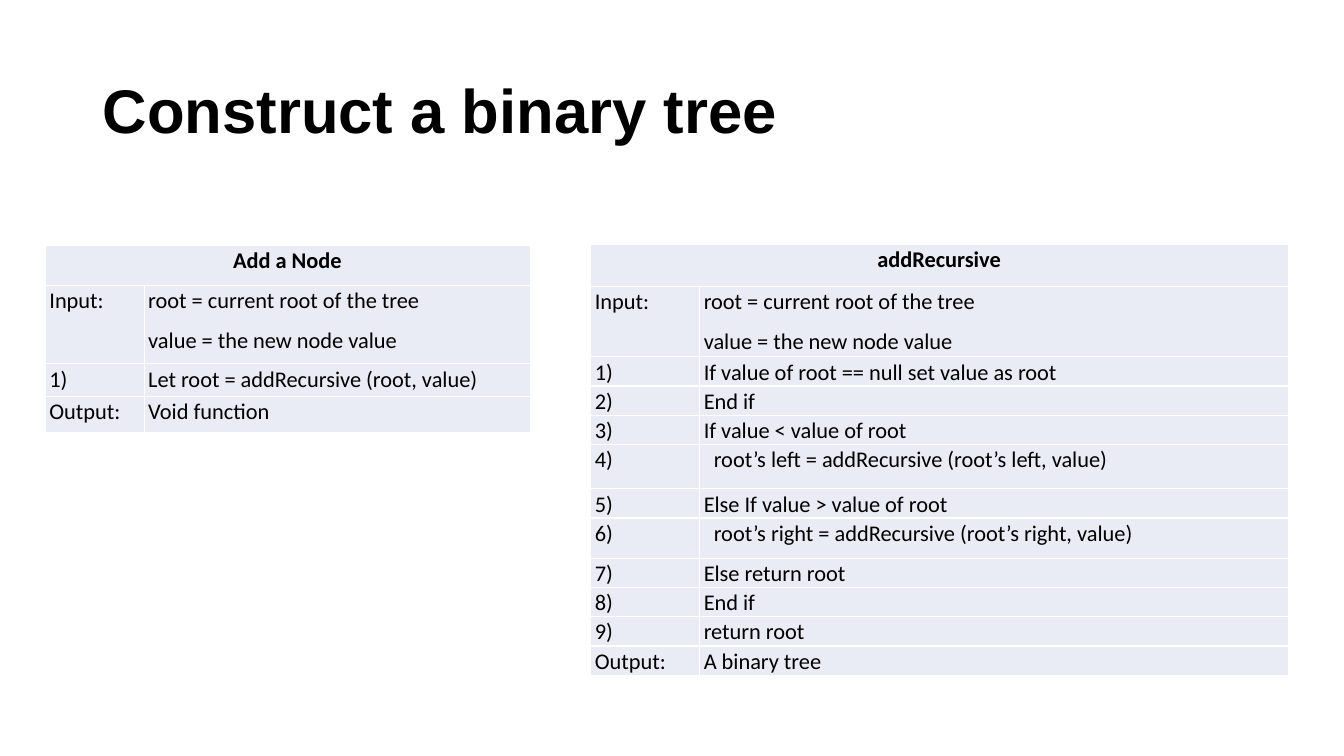
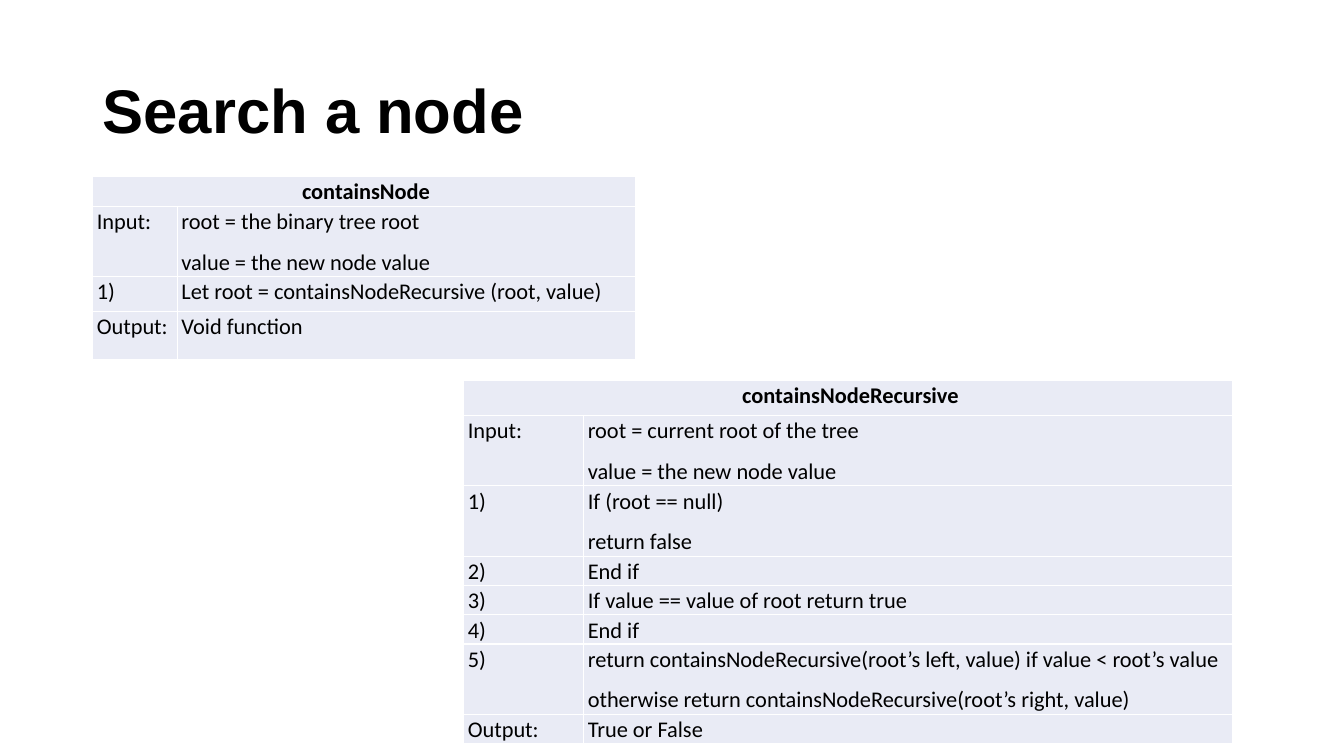
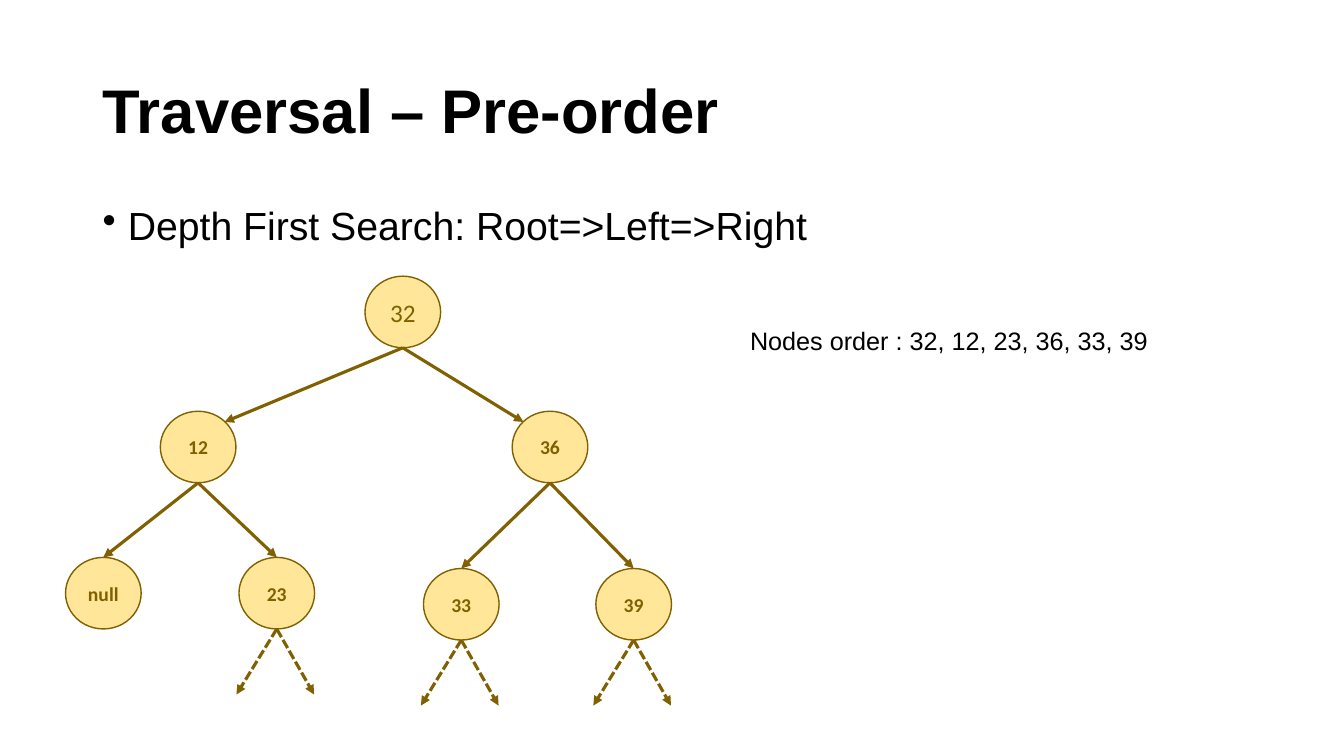
import pptx
import pptx.dml.color
import pptx.enum.dml
import pptx.enum.shapes
import pptx.enum.text
import pptx.oxml
import pptx.oxml.ns
import pptx.util
from pptx.util import Inches

BLACK = pptx.dml.color.RGBColor(0x00, 0x00, 0x00)
CELL_FILL = pptx.dml.color.RGBColor(0xE9, 0xEB, 0xF5)
NODE_FILL = pptx.dml.color.RGBColor(0xFF, 0xE6, 0x99)
NODE_LINE = pptx.dml.color.RGBColor(0x80, 0x60, 0x00)
BORDER_COLOR = "FFFFFF"
ALIGN = pptx.enum.text.PP_ALIGN
ANCHOR = pptx.enum.text.MSO_ANCHOR

TITLE_BOX = (0.92, 0.4, 11.5, 1.45)
NODE_WIDTH, NODE_HEIGHT = 0.75, 0.71
NESTED_INDENT = 0.14
INPUTS = ["root = current root of the tree", "value = the new node value"]

ADD_NODE_ROWS = [
    ("Input:", INPUTS, 0.78),
    ("1)", ["Let root = addRecursive (root, value)"], 0.32),
    ("Output:", ["Void function"], 0.36),
]
ADD_RECURSIVE_ROWS = [
    ("Input:", INPUTS, 0.7),
    ("1)", ["If value of root == null set value as root"], 0.29),
    ("2)", ["End if"], 0.29),
    ("3)", ["If value < value of root"], 0.29),
    ("4)", ["root’s left = addRecursive (root’s left, value)"], 0.44),
    ("5)", ["Else If value > value of root"], 0.29),
    ("6)", ["root’s right = addRecursive (root’s right, value)"], 0.4),
    ("7)", ["Else return root"], 0.29),
    ("8)", ["End if"], 0.29),
    ("9)", ["return root"], 0.29),
    ("Output:", ["A binary tree"], 0.29),
]
CONTAINS_NODE_ROWS = [
    ("Input:", ["root = the binary tree root", "value = the new node value"], 0.69),
    ("1)", ["Let root = containsNodeRecursive (root, value)"], 0.35),
    ("Output:", ["Void function"], 0.48),
]
CONTAINS_RECURSIVE_ROWS = [
    ("Input:", INPUTS, 0.7),
    ("1)", ["If (root == null)", "return false"], 0.7),
    ("2)", ["End if"], 0.29),
    ("3)", ["If value == value of root return true"], 0.29),
    ("4)", ["End if"], 0.29),
    ("5)", ["return containsNodeRecursive(root’s left, value) if value < root’s value",
            "otherwise return containsNodeRecursive(root’s right, value)"], 0.7),
    ("Output:", ["True or False"], 0.29),
]
NODES = {
    "32": (3.62, 2.74),
    "12": (1.59, 4.08),
    "36": (5.08, 4.08),
    "null": (0.65, 5.53),
    "23": (2.37, 5.53),
    "33": (4.2, 5.64),
    "39": (5.91, 5.64),
}
CHILDREN = {"12": ("null", "23"), "36": ("33", "39")}


def write_text(frame, lines, size=18, font="Arial", color=BLACK, bold=False, align=ALIGN.LEFT,
               spacing=None, before=None, after=None, indent=0, hanging=0, bullet=None):
    """Fill a text frame with one formatted paragraph for each line."""
    for index, line in enumerate(lines):
        paragraph = frame.add_paragraph() if index else frame.paragraphs[0]
        paragraph.alignment = align
        if spacing:
            paragraph.line_spacing = spacing
        if before is not None:
            paragraph.space_before = pptx.util.Pt(before)
        if after is not None:
            paragraph.space_after = pptx.util.Pt(after)
        properties = paragraph._p.get_or_add_pPr()
        properties.set("marL", str(Inches(indent)))
        properties.set("indent", str(Inches(-hanging)))
        if bullet:
            mark = pptx.oxml.parse_xml(
                f'<a:buChar {pptx.oxml.ns.nsdecls("a")} char="{bullet}"/>')
            properties.append(mark)
        run = paragraph.add_run()
        run.text = line
        run.font.size = pptx.util.Pt(size)
        run.font.name = font
        run.font.bold = bold
        run.font.color.rgb = color


def add_text(slide, box, text, wrap=True, anchor=ANCHOR.TOP, **style):
    """Add a text box with one line of formatted text."""
    shape = slide.shapes.add_textbox(*map(Inches, box))
    shape.text_frame.word_wrap = wrap
    shape.text_frame.vertical_anchor = anchor
    write_text(shape.text_frame, [text], **style)


def add_titled_slide(presentation, title):
    """Add a blank slide with the shared title style."""
    slide = presentation.slides.add_slide(presentation.slide_layouts[6])
    add_text(slide, TITLE_BOX, title, anchor=ANCHOR.MIDDLE, size=44, bold=True, spacing=0.9)
    return slide


def format_cell(cell, lines, indent=0.04, **style):
    """Fill a cell with text, a background and white borders."""
    cell.margin_left = cell.margin_right = cell.margin_top = cell.margin_bottom = 0
    cell.fill.solid()
    cell.fill.fore_color.rgb = CELL_FILL
    properties = cell._tc.get_or_add_tcPr()
    for index, side in enumerate(("lnL", "lnR", "lnT", "lnB")):
        properties.insert(index, pptx.oxml.parse_xml(
            f'<a:{side} {pptx.oxml.ns.nsdecls("a")} w="12700"><a:solidFill>'
            f'<a:srgbClr val="{BORDER_COLOR}"/></a:solidFill></a:{side}>'))
    write_text(cell.text_frame, lines, size=16, font="Calibri", spacing=1.07, after=8,
               indent=indent, **style)


def add_algorithm(slide, left, top, widths, heading, heading_height, rows):
    """Add a table of numbered steps under a merged heading."""
    heights = [heading_height] + [height for _, _, height in rows]
    frame = slide.shapes.add_table(len(heights), 2, Inches(left), Inches(top),
                                   Inches(sum(widths)), Inches(sum(heights)))
    table = frame.table
    table.first_row = table.horz_banding = False
    for column, width in zip(table.columns, widths):
        column.width = Inches(width)
    for row, height in zip(table.rows, heights):
        row.height = Inches(height)
    table.cell(0, 0).merge(table.cell(0, 1))
    format_cell(table.cell(0, 0), [heading], bold=True, align=ALIGN.CENTER)
    for index, (label, lines, _) in enumerate(rows, 1):
        nested = lines[0].startswith("root’s")
        format_cell(table.cell(index, 0), [label])
        format_cell(table.cell(index, 1), lines, indent=NESTED_INDENT if nested else 0.04)


def add_arrow(slide, start, end, dashed=False):
    """Add an arrow between two points."""
    connector = slide.shapes.add_connector(pptx.enum.shapes.MSO_CONNECTOR.STRAIGHT,
                                           *map(Inches, (*start, *end)))
    connector.line.color.rgb = NODE_LINE
    connector.line.width = pptx.util.Pt(2.25)
    if dashed:
        connector.line.dash_style = pptx.enum.dml.MSO_LINE.SQUARE_DOT
    namespace = pptx.oxml.ns.nsdecls("a")
    connector.line._get_or_add_ln().append(
        pptx.oxml.parse_xml(f'<a:tailEnd {namespace} type="triangle"/>'))
    connector._element.spPr.append(pptx.oxml.parse_xml(f"<a:effectLst {namespace}/>"))


def add_node(slide, label, left, top, **style):
    """Add one round tree node."""
    node = slide.shapes.add_shape(pptx.enum.shapes.MSO_SHAPE.OVAL,
                                  *map(Inches, (left, top, NODE_WIDTH, NODE_HEIGHT)))
    node.shadow.inherit = False
    node.fill.solid()
    node.fill.fore_color.rgb = NODE_FILL
    node.line.color.rgb = NODE_LINE
    node.line.width = pptx.util.Pt(1)
    node.text_frame.word_wrap = False
    node.text_frame.vertical_anchor = ANCHOR.MIDDLE
    write_text(node.text_frame, [label], font="Calibri", color=NODE_LINE,
               align=ALIGN.CENTER, **style)


def node_point(label, across, down):
    """Return a point at the given fractions of a node's box."""
    left, top = NODES[label]
    return left + across * NODE_WIDTH, top + down * NODE_HEIGHT


def add_tree(slide):
    """Draw the tree with its nodes, branches and open ends."""
    for label, (left, top) in NODES.items():
        is_root = label == "32"
        add_node(slide, label, left, top, size=18 if is_root else 14, bold=not is_root)
    root_bottom = node_point("32", 0.5, 1)
    add_arrow(slide, root_bottom, node_point("12", 0.85, 0.15))
    add_arrow(slide, root_bottom, node_point("36", 0.15, 0.15))
    for parent, children in CHILDREN.items():
        for child in children:
            add_arrow(slide, node_point(parent, 0.5, 1), node_point(child, 0.5, 0))
    for label in ("23", "33", "39"):
        x, y = node_point(label, 0.5, 1)
        for offset in (0.37, -0.4):
            add_arrow(slide, (x, y), (x + offset, y + 0.65), dashed=True)


def build_construct_slide(presentation):
    """Build the slide on adding nodes."""
    slide = add_titled_slide(presentation, "Construct a binary tree")
    add_algorithm(slide, 0.45, 2.43, (0.98, 3.83), "Add a Node ", 0.4, ADD_NODE_ROWS)
    add_algorithm(slide, 5.86, 2.42, (1.08, 5.84), "addRecursive ", 0.42, ADD_RECURSIVE_ROWS)


def build_search_slide(presentation):
    """Build the slide on finding a node."""
    slide = add_titled_slide(presentation, "Search a node")
    add_algorithm(slide, 0.92, 1.75, (0.84, 4.54), "containsNode", 0.3, CONTAINS_NODE_ROWS)
    add_algorithm(slide, 4.6, 3.77, (1.19, 6.44), "containsNodeRecursive", 0.35,
                  CONTAINS_RECURSIVE_ROWS)


def build_traversal_slide(presentation):
    """Build the slide on pre-order traversal."""
    slide = add_titled_slide(presentation, "Traversal – Pre-order")
    add_text(slide, (0.92, 2, 11.5, 4.76), "Depth First Search: Root=>Left=>Right", size=28,
             spacing=0.9, before=10, indent=0.25, hanging=0.25, bullet="•")
    add_tree(slide)
    add_text(slide, (7.34, 3.18, 4.18, 0.4), "Nodes order : 32, 12, 23, 36, 33, 39", wrap=False)


def main():
    """Build and save the presentation."""
    presentation = pptx.Presentation()
    presentation.slide_width = Inches(13.33)
    presentation.slide_height = Inches(7.5)
    build_construct_slide(presentation)
    build_search_slide(presentation)
    build_traversal_slide(presentation)
    presentation.save("out.pptx")


if __name__ == "__main__":
    main()
